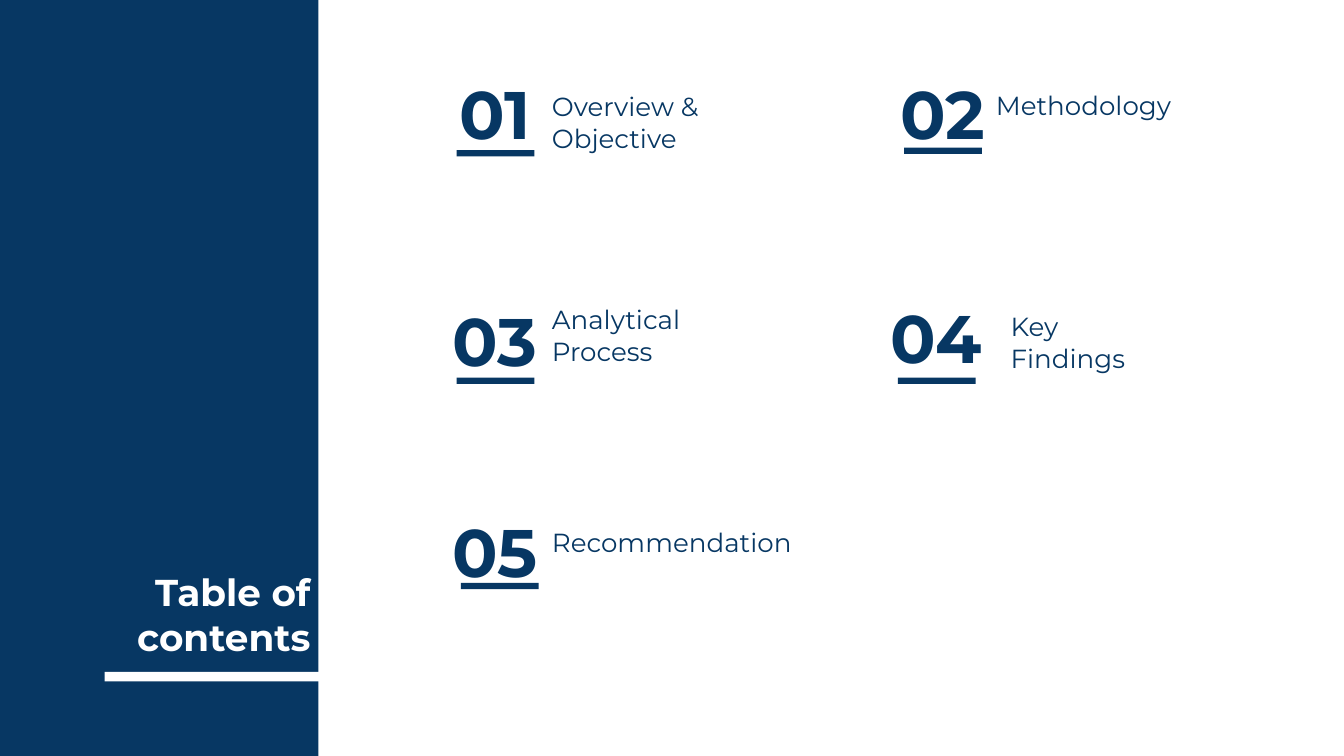
from dataclasses import dataclass

from pptx import Presentation
from pptx.dml import color
from pptx.enum import shapes, text
from pptx.util import Cm, Pt


@dataclass(frozen=True)
class Theme:
    navy: str = "073763"
    white: str = "FFFFFF"
    font: str = "Montserrat"
    title: int = 20
    number: int = 36
    label: int = 14


THEME = Theme()
INSET = Cm(0.25)
FRAME = {
    "word_wrap": True,
    "auto_size": text.MSO_AUTO_SIZE.NONE,
    "margin_left": INSET,
    "margin_top": INSET,
    "margin_right": INSET,
    "margin_bottom": INSET,
}
NUMBER_W, NUMBER_H, LABEL_H = 2.31, 1.42, 1.35
RULE_W, RULE_H = 1.47, 0.12

ENTRIES = [
    ("01", "Overview & Objective", (8.2, 1.42), (0.43, 1.42), (1.98, 0.21, 3.86)),
    ("02", "Methodology", (16.66, 1.42), (0.43, 1.37), (1.91, -0.1, 4.14)),
    ("03", "Analytical Process", (8.2, 5.72), (0.43, 1.42), (1.98, -0.06, 4.09)),
    ("04", "Key Findings", (16.54, 5.66), (0.43, 1.48), (2.31, 0.13, 3.61)),
    ("05", "Recommendation", (8.2, 9.7), (0.51, 1.32), (1.98, -0.12, 5.64)),
]


def apply(target, values):
    for name, value in values.items():
        setattr(target, name, value)


def add_bar(s, x, y, w, h, fill):
    sp = s.shapes.add_shape(shapes.MSO_SHAPE.RECTANGLE, Cm(x), Cm(y), Cm(w), Cm(h))
    sp.shadow.inherit = False
    sp.fill.solid()
    sp.fill.fore_color.rgb = color.RGBColor.from_string(fill)
    sp.line.fill.background()


def write(sp, words, size, fill, bold, align, anchor):
    tf = sp.text_frame
    apply(tf, {**FRAME, "vertical_anchor": anchor})
    p = tf.paragraphs[0]
    p.alignment = align
    r = p.add_run()
    r.text = words
    apply(r.font, {"name": THEME.font, "size": Pt(size), "bold": bold})
    r.font.color.rgb = color.RGBColor.from_string(fill)


def add_text(s, words, x, y, w, h, size, bold, align):
    sp = s.shapes.add_textbox(Cm(x), Cm(y), Cm(w), Cm(h))
    write(sp, words, size, THEME.navy, bold, align, text.MSO_ANCHOR.MIDDLE)


def title_panel(s, x, y, w, h):
    add_bar(s, x, y, w, h, THEME.navy)
    sp = s.shapes.title
    sp.element.getparent().append(sp.element)
    apply(sp, {"left": Cm(x + 1.83), "top": Cm(y + 9.86),
               "width": Cm(w - 1.73), "height": Cm(3.02)})
    write(sp, "Table of contents", THEME.title, THEME.white, True,
          text.PP_ALIGN.RIGHT, text.MSO_ANCHOR.BOTTOM)
    add_bar(s, x + 2.08, y + 12.88, w - 0.43, 0.18, THEME.white)


def contents_entry(s, x, y, number, label, rule_at, label_at):
    add_text(s, number, x, y, NUMBER_W, NUMBER_H,
             THEME.number, True, text.PP_ALIGN.CENTER)
    dx, dy = rule_at
    add_bar(s, x + dx, y + dy, RULE_W, RULE_H, THEME.navy)
    dx, dy, w = label_at
    add_text(s, label, x + dx, y + dy, w, LABEL_H,
             THEME.label, False, text.PP_ALIGN.LEFT)


def main():
    prs = Presentation()
    apply(prs, {"slide_width": Cm(25.4), "slide_height": Cm(14.29)})
    s = prs.slides.add_slide(prs.slide_layouts.get_by_name("Title Only"))
    title_panel(s, -0.1, -0.18, 6.12, 14.66)
    for number, label, (x, y), rule_at, label_at in ENTRIES:
        contents_entry(s, x, y, number, label, rule_at, label_at)
    prs.save("out.pptx")


if __name__ == "__main__":
    main()
